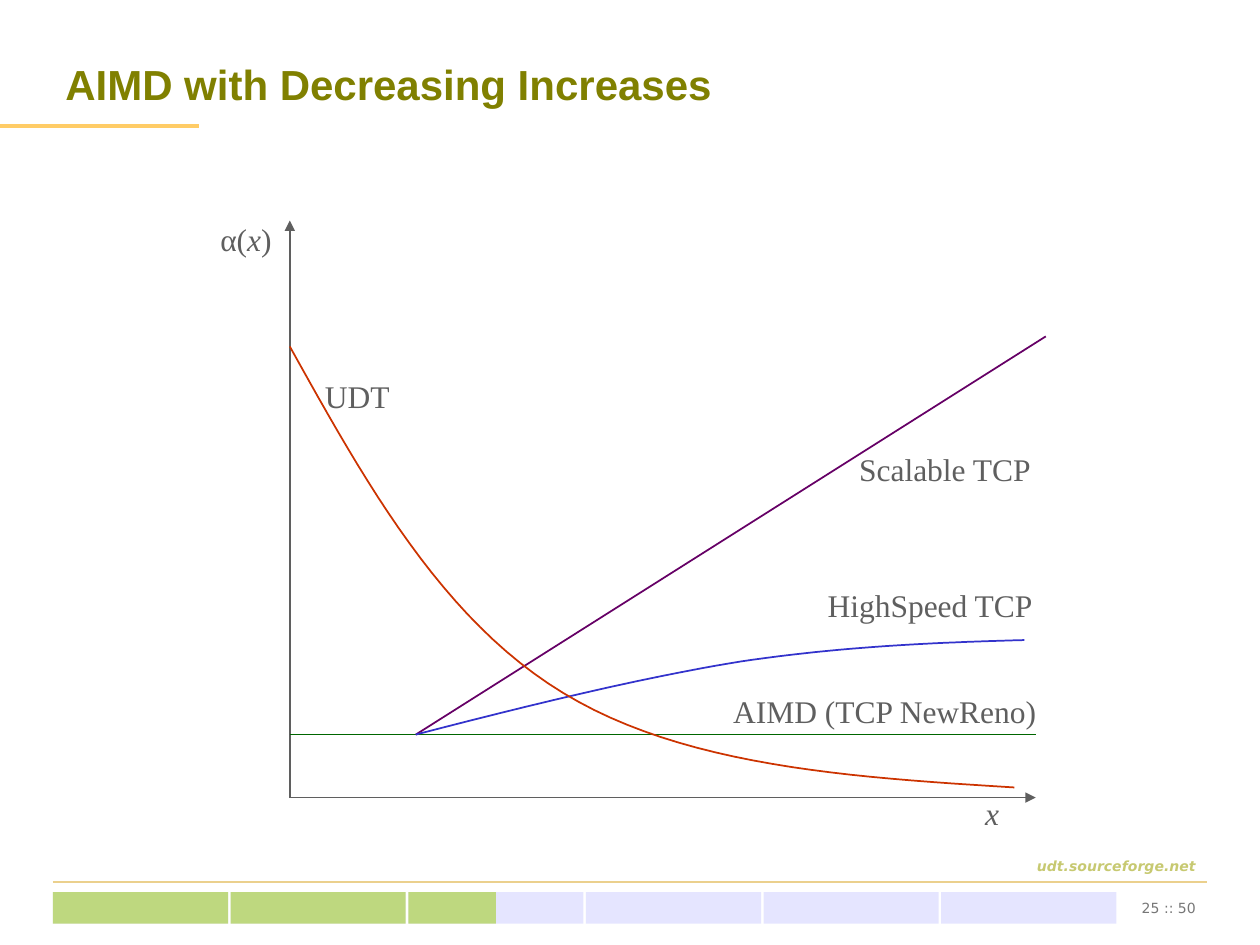
from dataclasses import dataclass

from lxml.etree import SubElement
from pptx import Presentation
from pptx.dml.color import RGBColor
from pptx.enum.shapes import MSO_CONNECTOR as Conn, MSO_SHAPE as Shape
from pptx.enum.text import MSO_ANCHOR as Anchor, PP_ALIGN as Align
from pptx.oxml.ns import qn
from pptx.util import Inches, Pt


@dataclass(frozen=True)
class Theme:
    title: str = "808000"
    accent: str = "FFCC66"
    rule: str = "EBD08D"
    site: str = "C7C971"
    page: str = "777777"
    track: str = "CCCCFF"
    done: str = "99CC00"
    ink: str = "5F5F5F"
    aimd: str = "006600"
    scalable: str = "660066"
    speed: str = "3333CC"
    udt: str = "CC3300"
    head_font: str = "Arial"
    foot_font: str = "DejaVu Sans"
    plot_font: str = "Times New Roman"
    head_size: int = 24
    plot_size: int = 18
    foot_size: int = 8


THEME = Theme()


def rgb(code):
    return RGBColor.from_string(code)


def add_line(slide, start, end, color, width=1, arrow=False):
    line = slide.shapes.add_connector(
        Conn.STRAIGHT, *(Inches(v) for v in (*start, *end)))
    line.line.color.rgb = rgb(color)
    line.line.width = Pt(width)
    if arrow:
        SubElement(line.line._get_or_add_ln(), qn("a:tailEnd"), type="triangle")
    SubElement(line._element.spPr, qn("a:effectLst"))


def add_cell(slide, left, width, color):
    """Draw one half-transparent cell of the progress bar."""
    cell = slide.shapes.add_shape(
        Shape.RECTANGLE, Inches(left), Inches(7.08), Inches(width), Inches(0.25))
    cell.shadow.inherit = False
    cell.fill.solid()
    cell.fill.fore_color.rgb = rgb(color)
    tint = cell._element.spPr.find(qn("a:solidFill"))[0]
    SubElement(tint, qn("a:alpha"), val="50000")
    cell.line.fill.background()


def add_text(slide, box, parts, font, size, color, align=Align.LEFT,
             bold=False, wrap=True):
    """Write (text, italic) parts on one line, centred vertically."""
    shape = slide.shapes.add_textbox(*(Inches(v) for v in box))
    frame = shape.text_frame
    frame.word_wrap = wrap
    frame.vertical_anchor = Anchor.MIDDLE
    para = frame.paragraphs[0]
    para.alignment = align
    for text, italic in parts:
        run = para.add_run()
        run.text = text
        run.font.name = font
        run.font.size = Pt(size)
        run.font.bold = bold
        run.font.italic = italic
        run.font.color.rgb = rgb(color)


def add_label(slide, box, *parts):
    add_text(slide, box, parts, THEME.plot_font, THEME.plot_size, THEME.ink,
             wrap=False)


def add_foot(slide, box, text, color, strong=False):
    add_text(slide, box, [(text, strong)], THEME.foot_font, THEME.foot_size,
             color, Align.RIGHT, bold=strong)


def bezier(a, b, c, d, t):
    s = 1 - t
    return tuple(s**3 * p + 3 * s * s * t * q + 3 * s * t * t * r + t**3 * e
                 for p, q, r, e in zip(a, b, c, d))


def add_curve(slide, knots, color, steps=24):
    """Draw joined cubic curves; each third knot lies on the curve."""
    points = [bezier(*knots[i:i + 4], n / steps)
              for i in range(0, len(knots) - 1, 3)
              for n in range(1, steps + 1)]
    x, y = knots[0]
    path = slide.shapes.build_freeform(Inches(x), Inches(y))
    path.add_line_segments([(Inches(x), Inches(y)) for x, y in points],
                           close=False)
    curve = path.convert_to_shape()
    curve.shadow.inherit = False
    curve.fill.background()
    curve.line.color.rgb = rgb(color)
    curve.line.width = Pt(1)


def add_frame(slide):
    """Draw the title, the rules and the footer with its progress bar."""
    left, pitch, width = 0.42, 1.41, 1.39
    add_line(slide, (0, 1), (1.58, 1), THEME.accent, 2.25)
    add_line(slide, (left, 7), (9.58, 7), THEME.rule)
    add_foot(slide, (left, 6.75, 9.17, 0.25), "udt.sourceforge.net",
             THEME.site, strong=True)
    for i in range(6):
        add_cell(slide, left + i * pitch, width, THEME.track)
    for i, size in enumerate((width, width, width / 2)):
        add_cell(slide, left + i * pitch, size, THEME.done)
    add_foot(slide, (8.85, 7.08, 0.74, 0.25), "25 :: 50", THEME.page)
    add_text(slide, (left, 0.25, 9.17, 0.83),
             [("AIMD with Decreasing Increases", False)],
             THEME.head_font, THEME.head_size, THEME.title, bold=True)


def add_plot(slide):
    zero, fork = (2.3, 6.33), (3.3, 5.83)
    add_line(slide, zero, (8.22, 6.33), THEME.ink, arrow=True)
    add_line(slide, zero, (2.3, 1.75), THEME.ink, arrow=True)
    add_line(slide, (2.3, 5.83), (8.22, 5.83), THEME.aimd)
    add_line(slide, fork, (8.3, 2.67), THEME.scalable)
    add_curve(slide, [fork, (4.19, 5.6), (5.08, 5.38), (5.88, 5.25),
                      (6.69, 5.13), (7.41, 5.1), (8.13, 5.08)], THEME.speed)
    add_curve(slide, [(2.3, 2.75), (2.9, 3.83), (3.51, 4.92), (4.47, 5.5),
                      (5.42, 6.08), (6.74, 6.17), (8.05, 6.25)], THEME.udt)
    add_label(slide, (1.65, 1.7, 0.64, 0.4),
              ("α(", False), ("x", True), (")", False))
    add_label(slide, (7.72, 6.25, 0.31, 0.4), ("x", True))
    for text, left, top, width in (("AIMD (TCP NewReno)", 5.72, 5.44, 2.62),
                                   ("UDT", 2.48, 2.94, 0.72),
                                   ("HighSpeed TCP", 6.47, 4.6, 1.83),
                                   ("Scalable TCP", 6.72, 3.52, 1.57)):
        add_label(slide, (left, top, width, 0.4), (text, False))


def main():
    deck = Presentation()
    deck.slide_width, deck.slide_height = Inches(10), Inches(7.5)
    slide = deck.slides.add_slide(deck.slide_layouts[6])
    add_frame(slide)
    add_plot(slide)
    deck.save("out.pptx")


if __name__ == "__main__":
    main()
